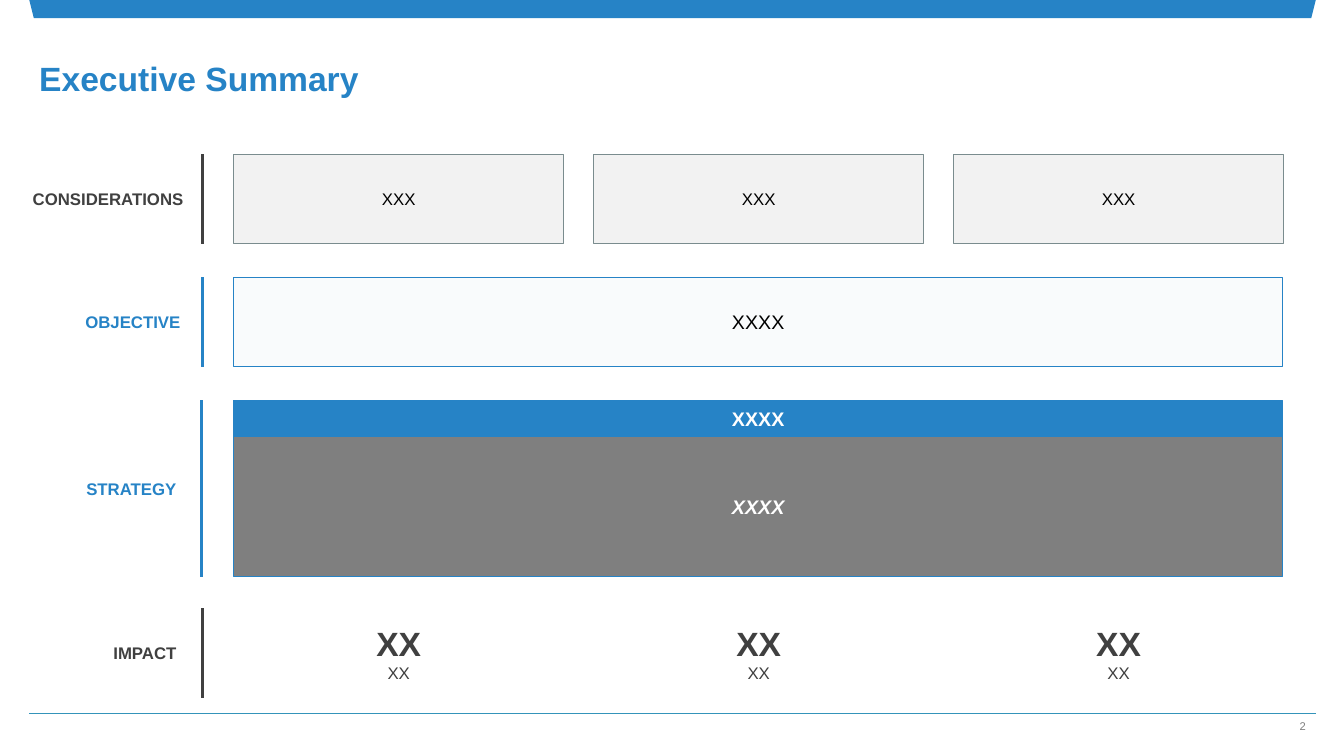
import pptx
import pptx.util
import pptx.dml.color
import pptx.enum.shapes
import pptx.enum.text
import pptx.oxml.ns
import lxml.etree

RGBColor = pptx.dml.color.RGBColor
SHAPE = pptx.enum.shapes.MSO_SHAPE
ALIGN = pptx.enum.text.PP_ALIGN
ANCHOR = pptx.enum.text.MSO_ANCHOR
inch = pptx.util.Inches

BLUE = RGBColor(0x26, 0x83, 0xC6)
TEAL = RGBColor(0x34, 0x94, 0xBA)
DARK = RGBColor(0x40, 0x40, 0x40)
GRAY = RGBColor(0x80, 0x80, 0x80)
EDGE = RGBColor(0x7A, 0x8C, 0x8E)
PANEL = RGBColor(0xF2, 0xF2, 0xF2)
PALE = RGBColor(0xF5, 0xF8, 0xFA)
WHITE = RGBColor(0xFF, 0xFF, 0xFF)
BLACK = RGBColor(0, 0, 0)

SLIDE_W, SLIDE_H = 13.33, 7.5
MARGIN, FRAME_W = 0.29, 12.76
GRID_LEFT, COLUMN_W, COLUMN_STEP = 2.32, 3.27, 3.57
COLUMNS = 3
GRID_W = 10.4
ROW_TOP, ROW_STEP, ROW_H = 1.53, 1.22, 0.89
OBJECTIVE_TOP = ROW_TOP + ROW_STEP
STRATEGY_TOP = ROW_TOP + 2 * ROW_STEP
STRATEGY_HEAD_H, STRATEGY_BODY_H = 0.36, 1.39
IMPACT_TOP = 6.03
BOX_INSETS = (0.04, 0.04, 0.04, 0.04)
LABEL_INSETS = (0.1, 0.05, 0.11, 0.05)


def write(holder, text, size=12, color=BLACK, bold=False, italic=False, align=ALIGN.CENTER,
          anchor=ANCHOR.MIDDLE, insets=BOX_INSETS, spacing=None, more=False):
    frame = holder.text_frame
    frame.word_wrap = True
    frame.vertical_anchor = anchor
    frame.margin_left, frame.margin_top, frame.margin_right, frame.margin_bottom = map(inch, insets)
    paragraph = frame.add_paragraph() if more else frame.paragraphs[0]
    paragraph.alignment = align
    paragraph.line_spacing = spacing
    run = paragraph.add_run()
    run.text = text
    run.font.name = "Arial"
    run.font.size = pptx.util.Pt(size)
    run.font.bold = bold
    run.font.italic = italic
    run.font.color.rgb = color


def add_text(slide, place, text, **style):
    write(slide.shapes.add_textbox(*map(inch, place)), text, **style)


def add_box(slide, place, fill, edge=None, alpha=None, kind=SHAPE.RECTANGLE):
    box = slide.shapes.add_shape(kind, *map(inch, place))
    box.shadow.inherit = False
    box.fill.solid()
    box.fill.fore_color.rgb = fill
    if alpha is not None:
        shade = box.fill._xPr.find(".//" + pptx.oxml.ns.qn("a:srgbClr"))
        lxml.etree.SubElement(shade, pptx.oxml.ns.qn("a:alpha"), val=str(alpha * 1000))
    if edge is None:
        box.line.fill.background()
    else:
        box.line.color.rgb = edge
        box.line.width = pptx.util.Pt(0.75)
    return box


def add_rule(slide, start, end, color, width):
    rule = slide.shapes.add_connector(pptx.enum.shapes.MSO_CONNECTOR.STRAIGHT,
                                      *map(inch, start + end))
    rule.line.color.rgb = color
    rule.line.width = pptx.util.Pt(width)
    lxml.etree.SubElement(rule._element.spPr, pptx.oxml.ns.qn("a:effectLst"))


def add_row_label(slide, text, right, top, height, x, color):
    label_h = 0.4
    add_text(slide, (0.14, top + (height - label_h) / 2, right - 0.14, label_h), text,
             color=color, bold=True, align=ALIGN.RIGHT, insets=LABEL_INSETS)
    add_rule(slide, (x, top + height), (x, top), color, 2.25)


def add_frame(slide):
    banner = add_box(slide, (MARGIN, 0, FRAME_W, 0.18), BLUE, kind=SHAPE.TRAPEZOID)
    banner.rotation = 180
    right = MARGIN + FRAME_W
    add_rule(slide, (MARGIN, 7.08), (right, 7.08), TEAL, 0.5)
    add_text(slide, (right - 1.08, 7.09, 1.08, 0.27), "2", size=8, color=GRAY,
             align=ALIGN.RIGHT, anchor=ANCHOR.TOP, insets=(0.1, 0.05, 0.1, 0.05))
    add_text(slide, (MARGIN, 0.33, 11.68, 0.7), "Executive Summary", size=24, color=BLUE,
             bold=True, align=ALIGN.LEFT, anchor=ANCHOR.BOTTOM,
             insets=(0.1, 0.05, 0.1, 0.05), spacing=0.9)


def add_columns(slide):
    for column in range(COLUMNS):
        left = GRID_LEFT + column * COLUMN_STEP
        consideration = add_box(slide, (left, ROW_TOP, COLUMN_W, ROW_H), PANEL, EDGE)
        write(consideration, "XXX")
        impact = add_box(slide, (left, IMPACT_TOP, COLUMN_W, ROW_H), WHITE, alpha=50)
        write(impact, "XX", size=24, color=DARK, bold=True)
        write(impact, "XX", color=DARK, more=True)


def add_bands(slide):
    objective = add_box(slide, (GRID_LEFT, OBJECTIVE_TOP, GRID_W, ROW_H), PALE, BLUE, 50)
    write(objective, "XXXX", size=14)
    body_top = STRATEGY_TOP + STRATEGY_HEAD_H
    body = add_box(slide, (GRID_LEFT, body_top, GRID_W, STRATEGY_BODY_H), BLACK, BLUE, 50)
    write(body, "XXXX", size=14, color=WHITE, bold=True, italic=True)
    head = add_box(slide, (GRID_LEFT, STRATEGY_TOP, GRID_W, STRATEGY_HEAD_H), BLUE, BLUE)
    write(head, "XXXX", size=14, color=WHITE, bold=True)


def main():
    deck = pptx.Presentation()
    deck.slide_width, deck.slide_height = inch(SLIDE_W), inch(SLIDE_H)
    slide = deck.slides.add_slide(deck.slide_layouts[6])
    add_frame(slide)
    strategy_h = STRATEGY_HEAD_H + STRATEGY_BODY_H
    for label in (
        ("CONSIDERATIONS", 1.93, ROW_TOP, ROW_H, 2.01, DARK),
        ("OBJECTIVE", 1.9, OBJECTIVE_TOP, ROW_H, 2.01, BLUE),
        ("STRATEGY", 1.86, STRATEGY_TOP, strategy_h, 2, BLUE),
        ("IMPACT", 1.86, IMPACT_TOP, ROW_H, 2.01, DARK),
    ):
        add_row_label(slide, *label)
    add_columns(slide)
    add_bands(slide)
    deck.save("out.pptx")


if __name__ == "__main__":
    main()
